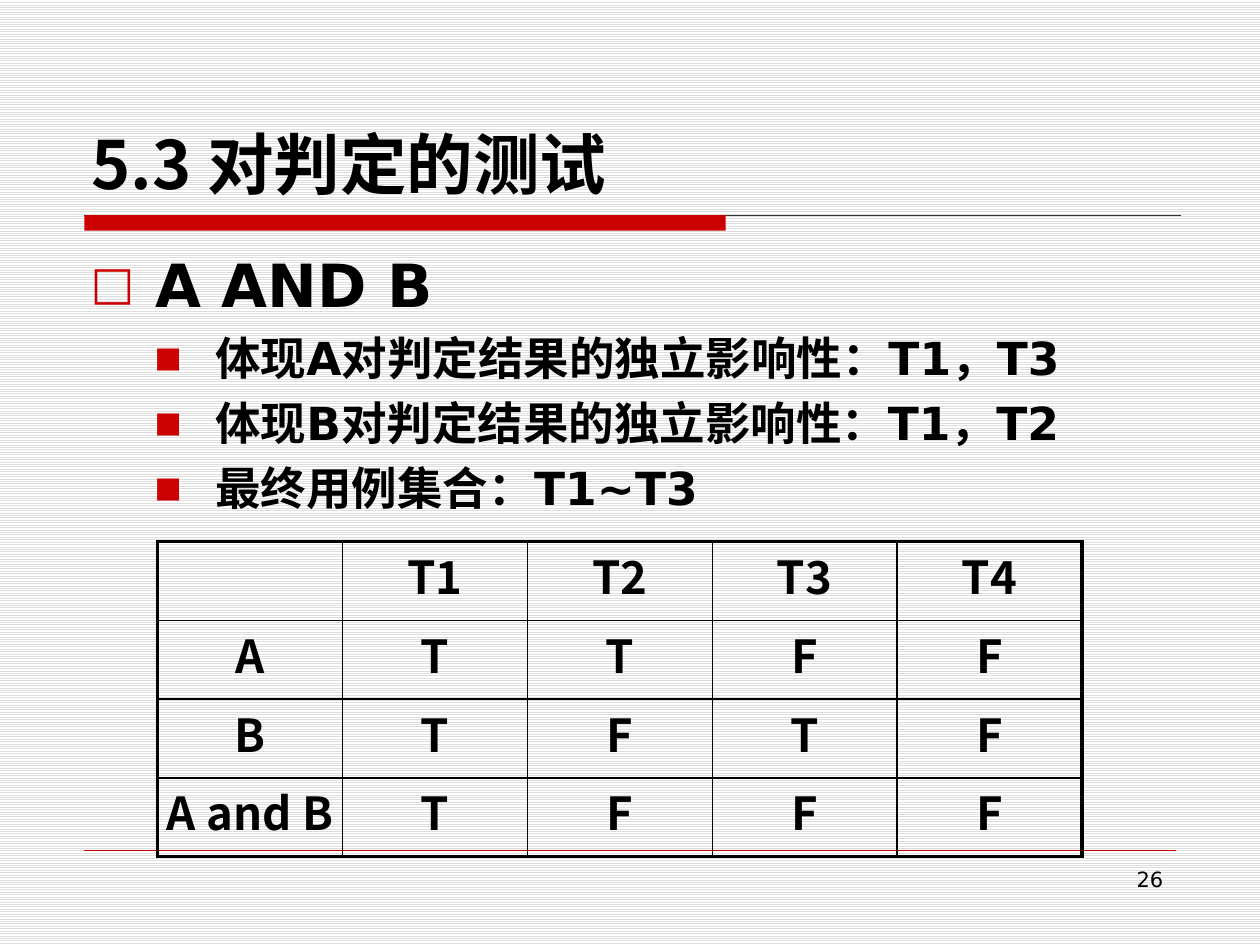
from lxml import etree
from pptx import Presentation
from pptx import util as u
from pptx.dml.color import RGBColor
from pptx.enum import dml, shapes, text
from pptx.oxml.ns import qn

COLORS = {"text": "000000", "accent": "CC0000", "rule": "333333",
          "stripe": "DDDDDD", "paper": "FFFFFF"}
SANS, CJK = "DejaVu Sans", "Noto Sans CJK SC"

TITLE = "5.3 对判定的测试"
PAGE_NUMBER = "26"
BODY = [
    (0, "A AND B"),
    (1, "体现A对判定结果的独立影响性：T1，T3"),
    (1, "体现B对判定结果的独立影响性：T1，T2"),
    (1, "最终用例集合：T1~T3"),
]
LEVELS = [
    {"size": 34, "margin": 1.3, "indent": -1.3, "bullet": "□", "scale": 78},
    {"size": 26, "margin": 2.51, "indent": -1.22, "bullet": "■", "scale": 63},
]
TRUTH_TABLE = [
    ["", "T1", "T2", "T3", "T4"],
    ["A", "T", "T", "F", "F"],
    ["B", "T", "F", "T", "F"],
    ["A and B", "T", "F", "F", "F"],
]
TABLE_BOX = (3.18, 10.92, 18.63, 6.35)
OUTER, INNER = 2.25, 1


def color(name):
    return RGBColor.from_string(COLORS[name])


def box(*lengths):
    return [u.Cm(length) for length in lengths]


def style(paragraph, size, font, bold=True, align=None):
    paragraph.alignment = align
    for run in paragraph.runs:
        run.font.size = u.Pt(size)
        run.font.bold = bold
        run.font.name = font
        run.font.color.rgb = color("text")
        latin = run.font._element.find(qn("a:latin"))
        latin.addnext(latin.makeelement(qn("a:ea"), {"typeface": font}))


def add_text(slide, bounds, content, anchor=text.MSO_ANCHOR.TOP):
    frame = slide.shapes.add_textbox(*box(*bounds)).text_frame
    frame.word_wrap = True
    frame.vertical_anchor = anchor
    frame.text = content
    return frame


def add_rule(slide, left, right, top, name, width):
    line = slide.shapes.add_connector(
        shapes.MSO_CONNECTOR.STRAIGHT, *box(left, top, right, top))
    line.line.color.rgb = color(name)
    line.line.width = u.Pt(width)
    etree.SubElement(line._element.spPr, qn("a:effectLst"))


def set_bullet(paragraph, level):
    properties = paragraph._p.get_or_add_pPr()
    properties.set("marL", str(u.Cm(level["margin"])))
    properties.set("indent", str(u.Cm(level["indent"])))
    bullet_color = etree.SubElement(properties, qn("a:buClr"))
    etree.SubElement(bullet_color, qn("a:srgbClr"), val=COLORS["accent"])
    etree.SubElement(properties, qn("a:buSzPct"), val=str(level["scale"] * 1000))
    etree.SubElement(properties, qn("a:buFont"), typeface=SANS)
    etree.SubElement(properties, qn("a:buChar"), char=level["bullet"])


def set_borders(cell, widths):
    properties = cell._tc.get_or_add_tcPr()
    for index, (side, width) in enumerate(widths.items()):
        line = etree.Element(qn("a:ln" + side), w=str(u.Pt(width)))
        fill = etree.SubElement(line, qn("a:solidFill"))
        etree.SubElement(fill, qn("a:srgbClr"), val=COLORS["text"])
        properties.insert(index, line)


def add_truth_table(slide):
    rows, columns = len(TRUTH_TABLE), len(TRUTH_TABLE[0])
    table = slide.shapes.add_table(rows, columns, *box(*TABLE_BOX)).table
    table.first_row = table.horz_banding = False
    for r, values in enumerate(TRUTH_TABLE):
        for c, value in enumerate(values):
            cell = table.cell(r, c)
            cell.margin_left = cell.margin_right = 0
            cell.margin_top = cell.margin_bottom = 0
            cell.text = value
            style(cell.text_frame.paragraphs[0], 26, CJK, align=text.PP_ALIGN.CENTER)
            cell.fill.background()
            set_borders(cell, {
                "L": OUTER if c == 0 else INNER,
                "R": OUTER if c == columns - 1 else INNER,
                "T": OUTER if r == 0 else INNER,
                "B": OUTER if r == rows - 1 else INNER,
            })


def main():
    presentation = Presentation()
    presentation.slide_width, presentation.slide_height = box(25.4, 19.05)
    slide = presentation.slides.add_slide(presentation.slide_layouts[6])

    background = slide.background.fill
    background.patterned()
    background.pattern = dml.MSO_PATTERN.LIGHT_HORIZONTAL
    background.fore_color.rgb = color("stripe")
    background.back_color.rgb = color("paper")

    add_rule(slide, 1.7, 23.8, 4.34, "rule", 0.75)
    bar = slide.shapes.add_shape(
        shapes.MSO_SHAPE.RECTANGLE, *box(1.7, 4.34, 12.93, 0.31))
    bar.shadow.inherit = False
    bar.fill.solid()
    bar.fill.fore_color.rgb = color("accent")
    bar.line.fill.background()
    add_rule(slide, 1.7, 23.7, 17.15, "accent", 0.25)

    number = add_text(slide, (18.2, 17.35, 5.5, 1.32), PAGE_NUMBER)
    style(number.paragraphs[0], 12, SANS, bold=False, align=text.PP_ALIGN.RIGHT)

    title = add_text(slide, (1.6, 0.84, 22.23, 3.38), TITLE, text.MSO_ANCHOR.BOTTOM)
    style(title.paragraphs[0], 38, CJK)

    body = add_text(slide, (1.58, 4.88, 22.23, 11.86),
                    "\n".join(line for _, line in BODY))
    for paragraph, (depth, _) in zip(body.paragraphs, BODY):
        level = LEVELS[depth]
        paragraph.level = depth
        paragraph.space_before = u.Pt(6)
        style(paragraph, level["size"], SANS, align=text.PP_ALIGN.JUSTIFY)
        set_bullet(paragraph, level)

    add_truth_table(slide)
    presentation.save("out.pptx")


if __name__ == "__main__":
    main()
